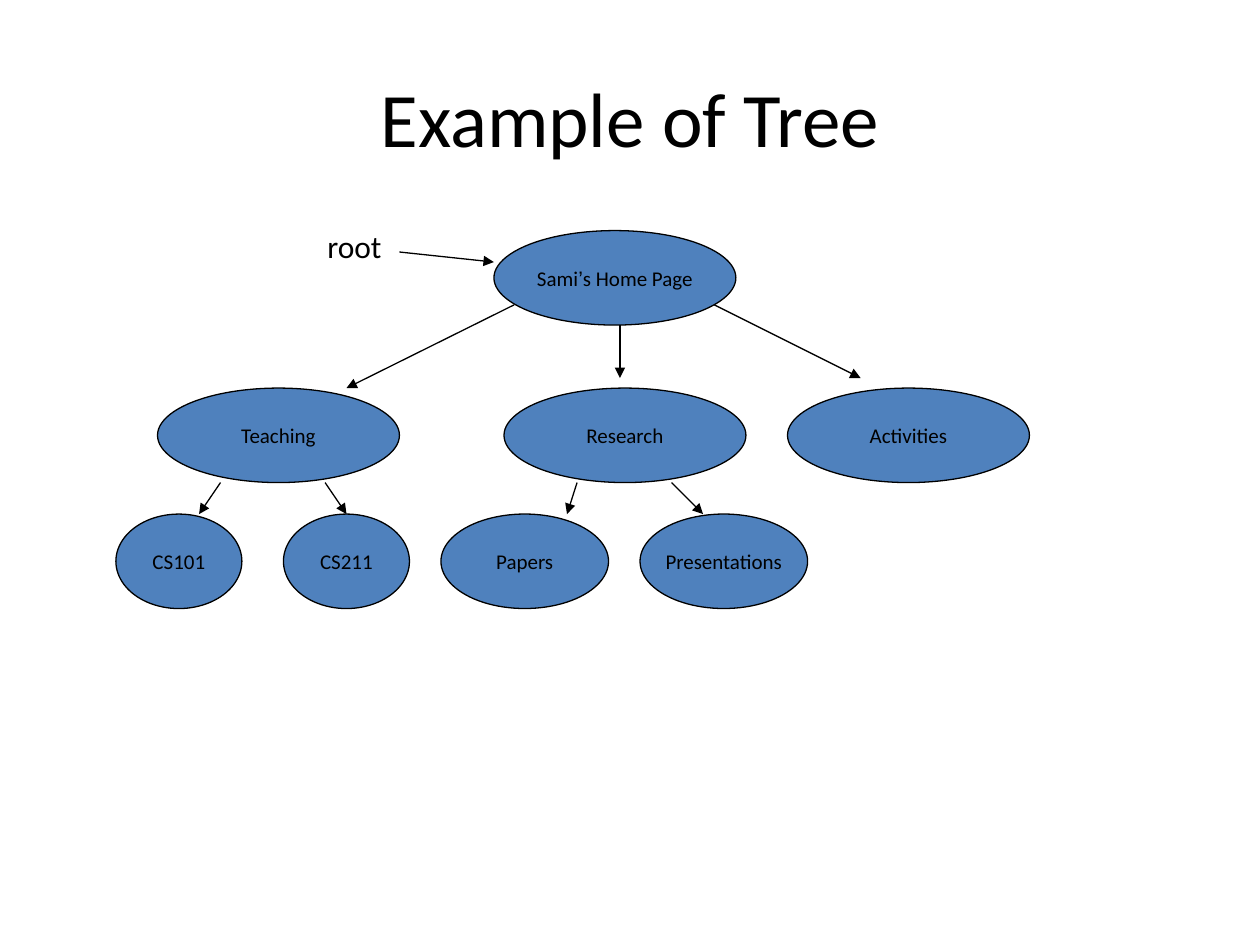
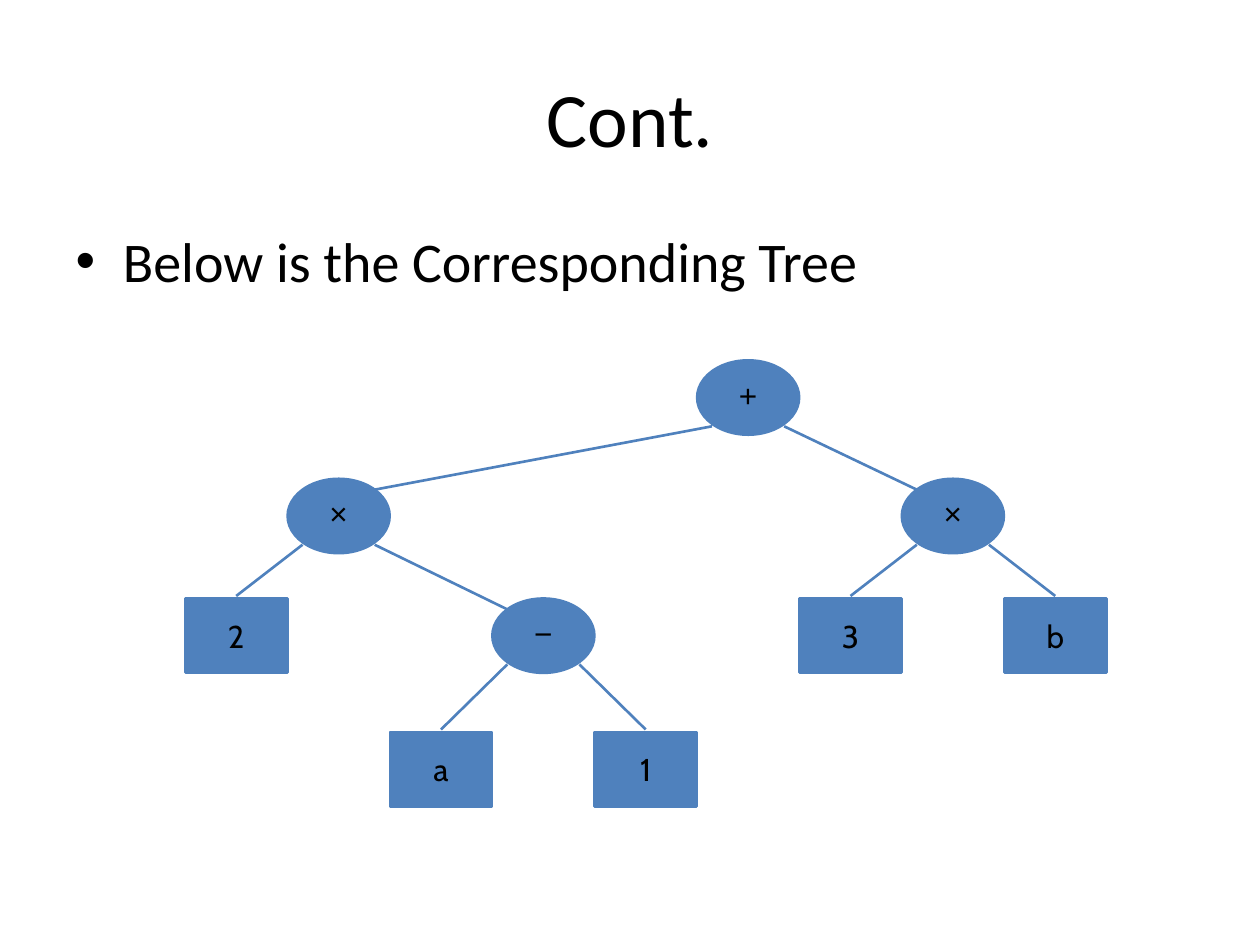
from math import sqrt

from lxml import etree
from pptx import Presentation
from pptx.dml.color import RGBColor
from pptx.enum import shapes, text
from pptx.oxml import ns
from pptx.util import Inches, Pt

# Content: home page tree, each node as label: (left, width), row by row
ROOT = "Sami’s Home Page"
PAGE_ROWS = [
    (1.83, {ROOT: (3.92, 1.92)}),
    (3.08, {"Teaching": (1.25, 1.92), "Research": (4, 1.92), "Activities": (6.25, 1.92)}),
    (4.08, {"CS101": (0.92, 1), "CS211": (2.25, 1),
            "Papers": (3.5, 1.33), "Presentations": (5.08, 1.33)}),
]
PAGE_NODE_HEIGHT = 0.75
ROOT_LABEL = ("root", (2.5, 1.75, 0.63, 0.4))
PAGE_ARROWS = [
    ((3.17, 2), (3.92, 2.08)),
    ((4.08, 2.42), (2.75, 3.08)),
    ((4.92, 2.58), (4.92, 3)),
    ((5.67, 2.42), (6.83, 3)),
]
LEAF_ARROWS = [(1.75, 1.58), (2.58, 2.75), (4.58, 4.5), (5.33, 5.58)]
LEAF_ARROW_SPAN = (3.83, 4.08)

# Content: expression tree as (label, column, row, parent index)
EXPRESSION = [
    ("+", 5, 0, None), ("×", 1, 1, 0), ("×", 7, 1, 0),
    ("2", 0, 2, 1), ("−", 3, 2, 1), ("3", 6, 2, 2), ("b", 8, 2, 2),
    ("a", 2, 3, 4), ("1", 4, 3, 4),
]
OPERATORS = "+×−"
COLUMN_LEFT, COLUMN_STEP = 1.47, 0.8125
ROW_TOPS = [2.86, 3.8, 4.75, 5.81]
TERM_SIZE = (0.81, 0.59)
EDGE_GAP = 0.02


class Theme:
    ink = RGBColor(0x00, 0x00, 0x00)
    node = RGBColor(0x4F, 0x81, 0xBD)
    thin, thick = Pt(0.75), Pt(1.5)
    font, symbol_font, term_font = "Calibri", "Arial", "Cabin"
    title, body, label, small = Pt(44), Pt(32), Pt(18), Pt(12)
    title_box = (0.5, 0.3, 9, 1.25)
    body_box = (0.5, 1.75, 9, 5.24)


# Shared helpers
def apply(target, values):
    for name, value in values.items():
        setattr(target, name, value)


def inches(numbers):
    return [Inches(number) for number in numbers]


def write(frame, words, size, font=Theme.font, align=None):
    para = frame.paragraphs[0]
    para.space_before = Pt(0)
    if align is not None:
        para.alignment = align
    # The curly apostrophe is set in the symbol font
    head, mark, rest = words.partition("’")
    for piece, face in ((head, font), (mark, Theme.symbol_font), (rest, font)):
        if piece:
            span = para.add_run()
            span.text = piece
            apply(span.font, {"name": face, "size": size})
            span.font.color.rgb = Theme.ink


def fill_placeholder(holder, words, box, size, anchor, align):
    apply(holder, dict(zip(("left", "top", "width", "height"), inches(box))))
    holder.text_frame.vertical_anchor = anchor
    write(holder.text_frame, words, size, align=align)


def add_page(deck, layout, title):
    page = deck.slides.add_slide(deck.slide_layouts[layout])
    fill_placeholder(page.shapes.title, title, Theme.title_box, Theme.title,
                     text.MSO_ANCHOR.MIDDLE, text.PP_ALIGN.CENTER)
    return page


def add_node(page, words, box, kind, size, font, line, weight, insets=None):
    node = page.shapes.add_shape(kind, *inches(box))
    node.shadow.inherit = False
    node.fill.solid()
    node.fill.fore_color.rgb = Theme.node
    node.line.color.rgb = line
    node.line.width = weight
    apply(node.text_frame, {"word_wrap": False,
                            "vertical_anchor": text.MSO_ANCHOR.MIDDLE, **(insets or {})})
    write(node.text_frame, words, size, font, text.PP_ALIGN.CENTER)


def add_line(page, start, end, color, weight, arrow=False):
    line = page.shapes.add_connector(shapes.MSO_CONNECTOR.STRAIGHT, *inches(start + end))
    line.line.color.rgb = color
    line.line.width = weight
    if arrow:
        tail = etree.SubElement(line.line._get_or_add_ln(), ns.qn("a:tailEnd"))
        tail.set("type", "triangle")
    etree.SubElement(line._element.spPr, ns.qn("a:effectLst"))


# Slide 1: home page tree
def build_page_tree(deck):
    page = add_page(deck, 5, "Example of Tree")
    words, box = ROOT_LABEL
    label = page.shapes.add_textbox(*inches(box))
    label.text_frame.word_wrap = False
    write(label.text_frame, words, Theme.label)
    for top, nodes in PAGE_ROWS:
        for words, (left, width) in nodes.items():
            add_node(page, words, (left, top, width, PAGE_NODE_HEIGHT),
                     shapes.MSO_SHAPE.OVAL, Theme.small, Theme.font, Theme.ink, Theme.thin)
    top, bottom = LEAF_ARROW_SPAN
    leaf_arrows = [((start, top), (end, bottom)) for start, end in LEAF_ARROWS]
    for start, end in PAGE_ARROWS + leaf_arrows:
        add_line(page, start, end, Theme.ink, Theme.thin, arrow=True)


# Slide 2: expression tree
def term_center(index):
    _, column, row, _ = EXPRESSION[index]
    width, height = TERM_SIZE
    return COLUMN_LEFT + column * COLUMN_STEP + width / 2, ROW_TOPS[row] + height / 2


def edge_ends(parent, child):
    """Join the diagonal points of ovals, or the top centre of a rectangle."""
    (px, py), (cx, cy) = term_center(parent), term_center(child)
    width, height = TERM_SIZE
    reach_x, reach_y = width / 2 / sqrt(2), height / 2 / sqrt(2)
    side = 1 if cx > px else -1
    start = (px + side * reach_x, py + reach_y + EDGE_GAP)
    if EXPRESSION[child][0] in OPERATORS:
        return start, (cx - side * reach_x, cy - reach_y)
    return start, (cx, cy - height / 2 - EDGE_GAP)


def build_expression_tree(deck):
    page = add_page(deck, 1, "Cont.")
    fill_placeholder(page.placeholders[1], "Below is the Corresponding Tree",
                     Theme.body_box, Theme.body, text.MSO_ANCHOR.TOP, text.PP_ALIGN.LEFT)
    operator_insets = {"margin_left": 0, "margin_top": 0, "margin_right": 0,
                       "margin_bottom": Inches(0.05)}
    styles = {
        True: (shapes.MSO_SHAPE.OVAL, Theme.symbol_font, operator_insets),
        False: (shapes.MSO_SHAPE.RECTANGLE, Theme.term_font, None),
    }
    for words, column, row, _ in EXPRESSION:
        kind, font, insets = styles[words in OPERATORS]
        box = (COLUMN_LEFT + column * COLUMN_STEP, ROW_TOPS[row]) + TERM_SIZE
        add_node(page, words, box, kind, Theme.label, font, Theme.node, Theme.thick, insets)
    for child, (_, _, _, parent) in enumerate(EXPRESSION):
        if parent is not None:
            add_line(page, *edge_ends(parent, child), Theme.node, Theme.thick)


def main():
    deck = Presentation()
    apply(deck, {"slide_width": Inches(10), "slide_height": Inches(7.5)})
    build_page_tree(deck)
    build_expression_tree(deck)
    deck.save("out.pptx")


if __name__ == "__main__":
    main()
